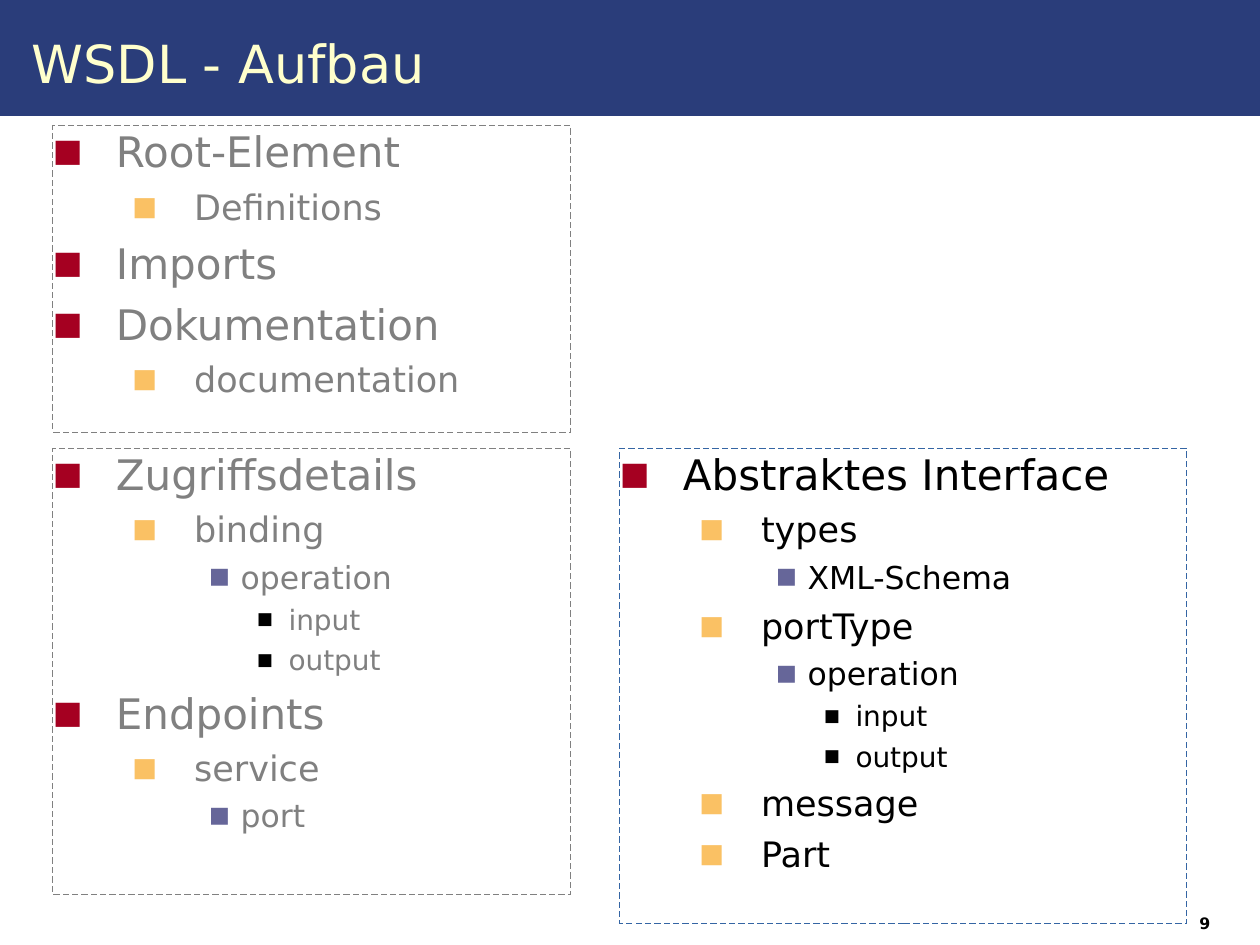
from lxml.etree import SubElement
from pptx import Presentation
from pptx.dml.color import RGBColor
from pptx.enum.dml import MSO_LINE
from pptx.enum.shapes import MSO_SHAPE
from pptx.enum.text import MSO_ANCHOR
from pptx.oxml.ns import qn
from pptx.util import Inches, Pt

FONT = "DejaVu Sans"
GRAY = "808080"
LEVELS = [
    (24, 0.5, -0.5, 6, "A50021", 75),
    (20, 1.12, -0.49, 5, "FAC164", 75),
    (18, 1.49, -0.25, 4.5, "666699", 70),
    (16, 1.87, -0.25, 4, "000000", 60),
]


def color(value):
    return RGBColor.from_string(value)


def add_text(paragraph, text, size, text_color, bold=False):
    run = paragraph.add_run()
    run.text = text
    run.font.name = FONT
    run.font.size = Pt(size)
    run.font.bold = bold
    run.font.color.rgb = color(text_color)


presentation = Presentation()
presentation.slide_width = Inches(10)
presentation.slide_height = Inches(7.5)
slide = presentation.slides.add_slide(presentation.slide_layouts[6])

banner = slide.shapes.add_shape(
    MSO_SHAPE.RECTANGLE, Inches(0), Inches(0), Inches(10), Inches(0.92)
)
banner.shadow.inherit = False
banner.fill.solid()
banner.fill.fore_color.rgb = color("2A3D7A")
banner.line.fill.background()

page_number = slide.shapes.add_textbox(
    Inches(9.42), Inches(7.19), Inches(0.58), Inches(0.26)
)
page_number.text_frame.word_wrap = True
page_number.text_frame.vertical_anchor = MSO_ANCHOR.BOTTOM
add_text(page_number.text_frame.paragraphs[0], "9", 9, "000000", bold=True)

title = slide.shapes.add_textbox(Inches(0.25), Inches(0), Inches(9.58), Inches(1))
title.text_frame.vertical_anchor = MSO_ANCHOR.MIDDLE
add_text(title.text_frame.paragraphs[0], "WSDL - Aufbau", 30, "FFFFCC")

sections = [
    (4.92, 3.56, 4.5, 3.77, "3465A4", "000000", [
        (0, "Abstraktes Interface"), (1, "types"), (2, "XML-Schema"),
        (1, "portType"), (2, "operation"), (3, "input"), (3, "output"),
        (1, "message"), (1, "Part"),
    ]),
    (0.42, 1, 4.11, 2.43, GRAY, GRAY, [
        (0, "Root-Element"), (1, "Definitions"), (0, "Imports"),
        (0, "Dokumentation"), (1, "documentation"),
    ]),
    (0.42, 3.56, 4.11, 3.54, GRAY, GRAY, [
        (0, "Zugriffsdetails"), (1, "binding"), (2, "operation"),
        (3, "input"), (3, "output"), (0, "Endpoints"), (1, "service"),
        (2, "port"),
    ]),
]

frames = [title.text_frame]
for left, top, width, height, line_color, text_color, items in sections:
    section = slide.shapes.add_textbox(
        Inches(left), Inches(top), Inches(width), Inches(height)
    )
    section.line.color.rgb = color(line_color)
    section.line.width = Pt(0)
    section.line.dash_style = MSO_LINE.DASH
    frame = section.text_frame
    frames.append(frame)
    for index, (level, text) in enumerate(items):
        size, margin, indent, space, bullet_color, bullet_size = LEVELS[level]
        paragraph = frame.add_paragraph() if index else frame.paragraphs[0]
        paragraph.level = level
        properties = paragraph._p.get_or_add_pPr()
        properties.set("marL", str(Inches(margin)))
        properties.set("indent", str(Inches(indent)))
        bullet_fill = SubElement(properties, qn("a:buClr"))
        SubElement(bullet_fill, qn("a:srgbClr"), val=bullet_color)
        SubElement(properties, qn("a:buSzPct"), val=str(bullet_size * 1000))
        SubElement(properties, qn("a:buFont"), typeface=FONT)
        SubElement(properties, qn("a:buChar"), char="■")
        paragraph.space_before = Pt(space if index else 0)
        add_text(paragraph, text, size, text_color)

for frame in frames:
    frame.word_wrap = True
    frame.margin_left = frame.margin_right = Inches(0)
    frame.margin_top = frame.margin_bottom = Inches(0)

presentation.save("out.pptx")
